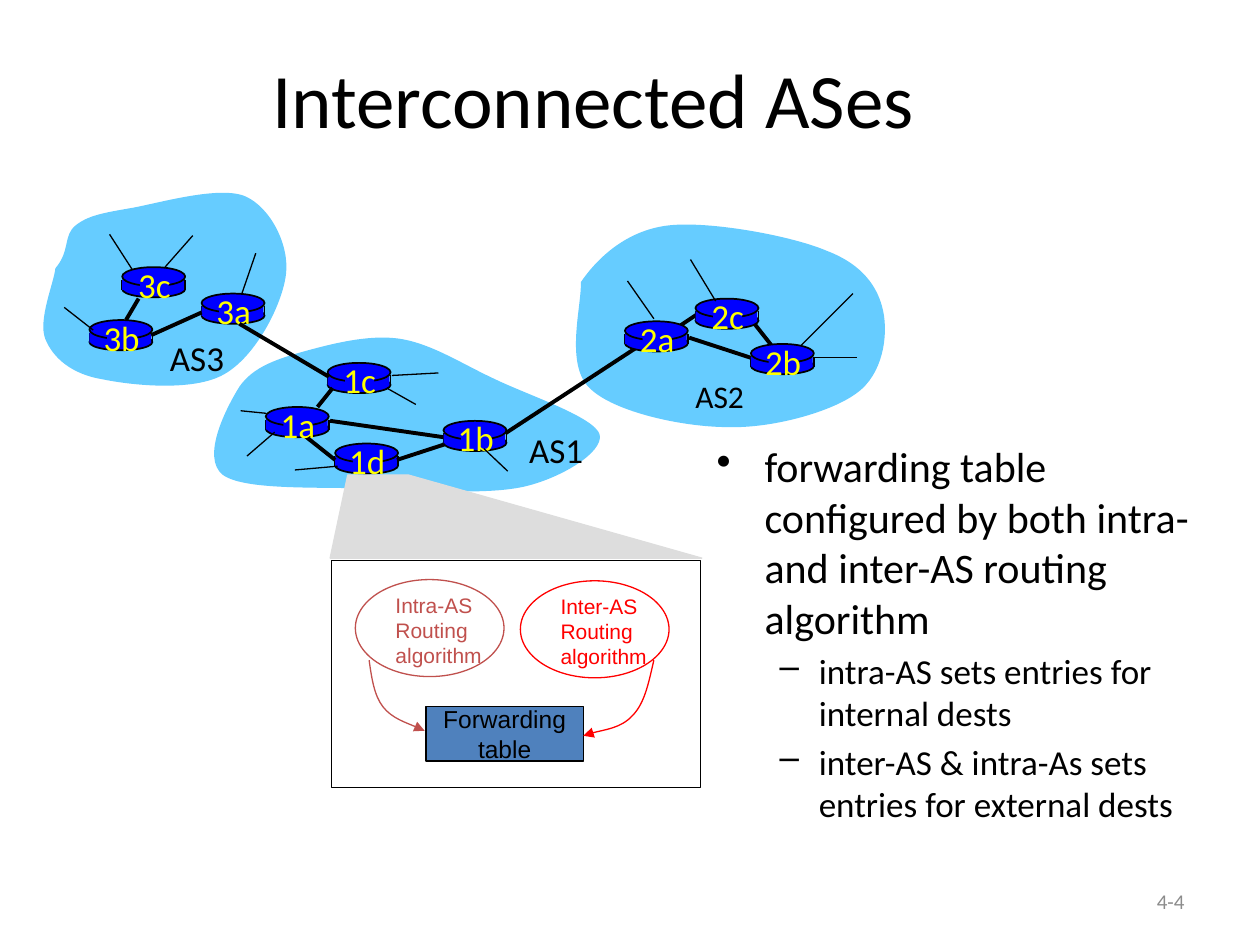
import pptx
import pptx.util
import pptx.dml.color
import pptx.enum.shapes
import pptx.enum.text
import pptx.oxml.ns
import lxml.etree

Pt = pptx.util.Pt
RGB = pptx.dml.color.RGBColor
KIND = pptx.enum.shapes.MSO_SHAPE
ALIGN = pptx.enum.text.PP_ALIGN
MID = pptx.enum.text.MSO_ANCHOR.MIDDLE
GROW = pptx.enum.text.MSO_AUTO_SIZE.SHAPE_TO_FIT_TEXT
qn = pptx.oxml.ns.qn

BLACK = RGB(0, 0, 0)
BLUE = RGB(0, 0, 255)
SKY = RGB(0x66, 0xCC, 0xFF)
YELLOW = RGB(255, 255, 0)
GREY = RGB(0xDD, 0xDD, 0xDD)
DIM = RGB(0x8C, 0x8C, 0x8C)
STEEL = RGB(0x4F, 0x81, 0xBD)
BRICK = RGB(0xC0, 0x50, 0x4D)
RED = RGB(255, 0, 0)

CLOUDS = [
    [(4.61, 2.24), (4.74, 2.05), (4.97, 1.83), (5.3, 1.79),
     (5.62, 1.75), (6.28, 1.87), (6.56, 1.99), (6.85, 2.1), (6.97, 2.28), (7.01, 2.47),
     (7.05, 2.66), (7.01, 2.97), (6.8, 3.12), (6.6, 3.27), (6.13, 3.4), (5.78, 3.39),
     (5.42, 3.39), (4.87, 3.27), (4.68, 3.08), (4.48, 2.89), (4.62, 2.42), (4.61, 2.24)],
    [(0.44, 2.13), (0.56, 1.99), (0.5, 1.87), (0.6, 1.79),
     (0.7, 1.71), (0.82, 1.69), (1.05, 1.65), (1.27, 1.61), (1.75, 1.47), (1.95, 1.56),
     (2.15, 1.65), (2.3, 1.95), (2.27, 2.18), (2.24, 2.42), (2.03, 2.83), (1.78, 2.97),
     (1.54, 3.11), (1.05, 3.06), (0.81, 3.01), (0.57, 2.97), (0.42, 2.84), (0.36, 2.69),
     (0.3, 2.54), (0.43, 2.24), (0.44, 2.13)],
    [(1.9, 3.07), (2.01, 2.91), (2.2, 2.85), (2.41, 2.79),
     (2.63, 2.73), (2.93, 2.65), (3.18, 2.69), (3.43, 2.73), (3.67, 2.89), (3.93, 3.01),
     (4.2, 3.14), (4.72, 3.31), (4.76, 3.45), (4.79, 3.59), (4.46, 3.79), (4.17, 3.86),
     (3.87, 3.93), (3.39, 3.89), (2.99, 3.88), (2.59, 3.86), (1.95, 3.9), (1.77, 3.77),
     (1.59, 3.63), (1.8, 3.23), (1.9, 3.07)],
]
BACK = [("3b", 0.71, 2.54), ("1d", 2.66, 3.52), ("3a", 1.6, 2.33), ("1c", 2.6, 2.88)]
FRONT = [("2a", 4.96, 2.55), ("1a", 2.11, 3.23), ("2c", 5.52, 2.37),
         ("2b", 5.96, 2.73), ("1b", 3.52, 3.34), ("3c", 0.97, 2.12)]
LINKS = [
    (5.47, 2.68, 5.96, 2.84), (5.98, 2.56, 6.13, 2.75), (5.36, 2.61, 5.54, 2.49),
    (3.15, 3.65, 3.58, 3.51), (2.42, 3.46, 2.66, 3.65), (2.62, 3.34, 3.52, 3.47),
    (2.52, 3.23, 2.64, 3.08), (1.2, 2.66, 1.6, 2.48), (1.9, 2.57, 2.61, 2.99),
    (4.01, 3.44, 5.05, 2.76), (1.1, 2.37, 1, 2.54),
]
STUBS = [
    (0.51, 2.44, 0.74, 2.62), (1.53, 1.87, 1.31, 2.12), (0.87, 1.86, 1.05, 2.14),
    (2.03, 2.01, 1.92, 2.33), (6.45, 2.84, 6.8, 2.84), (6.36, 2.74, 6.77, 2.33),
    (5.68, 2.39, 5.48, 2.06), (5.19, 2.53, 4.98, 2.23), (2.18, 3.43, 1.96, 3.62),
    (2.11, 3.28, 1.91, 3.26), (2.68, 3.7, 2.34, 3.73), (3.11, 2.98, 3.48, 2.96),
    (3.84, 3.56, 4.03, 3.74), (3.07, 3.08, 3.3, 3.21),
]
AREAS = [("AS3", 1.25, 2.62, 20), ("AS1", 4.1, 3.35, 20), ("AS2", 5.42, 2.94, 18)]
BEAM = [(2.62, 4.43), (2.76, 3.77), (3.24, 3.77), (5.57, 4.43)]
STEPS = [
    ("Intra-AS", 2.82, 4.6, BRICK, [(2.93, 5.24), (2.95, 5.38), (2.97, 5.52), (3.04, 5.61),
                                    (3.11, 5.7), (3.31, 5.77), (3.37, 5.8)]),
    ("Inter-AS", 4.13, 4.61, RED, [(5.19, 5.24), (5.15, 5.41), (5.12, 5.58), (5.02, 5.68),
                                   (4.93, 5.78), (4.69, 5.81), (4.63, 5.84)]),
]
NOTES = [
    ("forwarding table configured by both intra- and inter-AS routing algorithm",
     24, "•", 0.38, 0.38),
    ("intra-AS sets entries for internal dests", 20, "–", 0.81, 0.31),
    ("inter-AS & intra-As sets entries for external dests", 20, "–", 0.81, 0.31),
]

deck = pptx.Presentation()
deck.slide_width, deck.slide_height = pptx.util.Inches(10), pptx.util.Inches(7.5)
slide = deck.slides.add_slide(deck.slide_layouts[6])
shapes = slide.shapes


def emu(*nums):
    return [pptx.util.Inches(n) for n in nums]


def paint(shape, fill=None, line=None, width=0.75):
    shape.shadow.inherit = False
    if fill is None:
        shape.fill.background()
    else:
        shape.fill.solid()
        shape.fill.fore_color.rgb = fill
    if line is None:
        shape.line.fill.background()
    else:
        shape.line.color.rgb = line
        shape.line.width = Pt(width)


def block(kind, x, y, w, h, fill=None, line=None, width=0.75):
    shape = shapes.add_shape(kind, *emu(x, y, w, h))
    paint(shape, fill, line, width)
    return shape


def write(shape, lines, size, color, font="Calibri", align=ALIGN.LEFT, wrap=False):
    frame = shape.text_frame
    frame.word_wrap = wrap
    frame.text = "\n".join(lines)
    for para in frame.paragraphs:
        para.alignment = align
        para.font.size, para.font.name = Pt(size), font
        para.font.color.rgb = color
    return frame


def label(lines, x, y, w, h, *style):
    frame = write(shapes.add_textbox(*emu(x, y, w, h)), lines, *style)
    if not frame.word_wrap:
        frame.auto_size = GROW
    return frame


def wire(x1, y1, x2, y2, width):
    line = shapes.add_connector(pptx.enum.shapes.MSO_CONNECTOR.STRAIGHT, *emu(x1, y1, x2, y2))
    line.line.color.rgb = BLACK
    line.line.width = Pt(width)
    lxml.etree.SubElement(line._element.spPr, qn("a:effectLst"))


def outline(points, close=True, curve=True):
    pen = shapes.build_freeform(*emu(*points[0]), scale=1.0)
    pen.add_line_segments([emu(*p) for p in points[1:]], close=close)
    shape = pen.convert_to_shape()
    legs = list(shape._element.iter(qn("a:lnTo"))) if curve else []
    for i in range(0, len(legs) - 2, 3):
        bend = lxml.etree.Element(qn("a:cubicBezTo"))
        legs[i].addprevious(bend)
        for leg in legs[i:i + 3]:
            bend.append(leg[0])
            leg.getparent().remove(leg)
    return shape


def router(name, x, y):
    block(KIND.OVAL, x, y + 0.11, 0.5, 0.13, BLUE, BLACK, 1)
    for side in (x, x + 0.5):
        wire(side, y + 0.1, side, y + 0.18, 1)
    block(KIND.RECTANGLE, x, y + 0.1, 0.49, 0.08, BLUE)
    block(KIND.OVAL, x, y, 0.5, 0.15, BLUE, BLACK, 1)
    block(KIND.RECTANGLE, x + 0.14, y + 0.02, 0.23, 0.19, BLUE)
    label([name], x + 0.01, y - 0.08, 0.49, 0.44, 20, YELLOW, "Calibri", ALIGN.CENTER)


for cloud in CLOUDS:
    paint(outline(cloud), SKY)
for item in BACK:
    router(*item)
for link in LINKS:
    wire(*link, 2.25)
for name, x, y, size in AREAS:
    label([name], x, y, 0.72, 0.43, size, BLACK)
for item in FRONT:
    router(*item)
for stub in STUBS:
    wire(*stub, 0.75)

paint(outline(BEAM, curve=False), GREY, GREY)
block(KIND.RECTANGLE, 2.63, 4.45, 2.93, 1.8, None, BLACK)
table = block(KIND.RECTANGLE, 3.38, 5.61, 1.25, 0.43, STEEL, BLACK)
write(table, ["Forwarding", "table"], 14, BLACK, "Arial", ALIGN.CENTER).vertical_anchor = MID
for name, x, y, color, path in STEPS:
    block(KIND.OVAL, x, y, 1.18, 0.77, None, color)
    step = label([name, "Routing", "algorithm"], x + 0.22, y + 0.05, 0.88, 0.7,
                 12, color, "Arial", ALIGN.LEFT, True)
    step.margin_right = 0
    arrow = outline(path, close=False)
    paint(arrow, None, color)
    stroke = arrow._element.spPr.find(qn("a:ln"))
    lxml.etree.SubElement(stroke, qn("a:tailEnd"), type="triangle")

head = label(["Interconnected ASes"], 0.46, 0.25, 8.5, 1.05,
             44, BLACK, "Calibri", ALIGN.CENTER, True)
head.vertical_anchor = MID
foot = label(["4-4"], 7.17, 6.95, 2.33, 0.4, 12, DIM, "Calibri", ALIGN.RIGHT, True)
foot.vertical_anchor = MID
body = label([note[0] for note in NOTES], 5.59, 3.45, 4.17, 3.72,
             20, BLACK, "Calibri", ALIGN.LEFT, True)
for para, (text, size, mark, left, hang) in zip(body.paragraphs, NOTES):
    para.font.size = Pt(size)
    para.space_before = Pt(size * 0.2)
    props = para._p.get_or_add_pPr()
    props.set("marL", str(emu(left)[0]))
    props.set("indent", str(-emu(hang)[0]))
    dot = lxml.etree.Element(qn("a:buChar"), char=mark)
    props.find(qn("a:spcBef")).addnext(dot)

deck.save("out.pptx")
